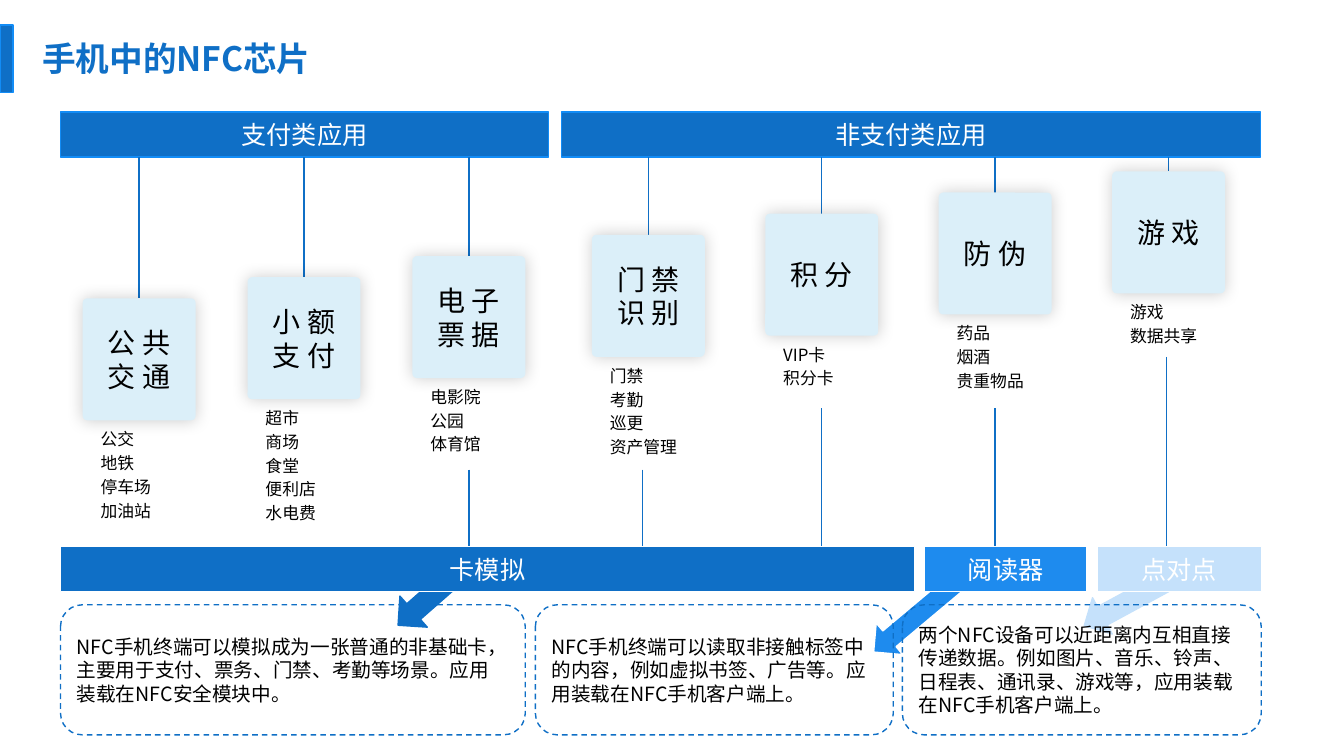
from lxml import etree
from pptx import Presentation
from pptx import util as u
from pptx.dml.color import RGBColor
from pptx.enum import dml, shapes, text
from pptx.oxml.ns import qn

# Style
COLORS = {
    "blue": "0F6FC6", "edge": "128CF6", "bright": "1E8BEE", "pale": "C5E1FB",
    "card": "DBEFF9", "white": "FFFFFF", "black": "000000",
}
CJK, LATIN = "Noto Sans CJK SC", "Open Sans"
GRID = u.Inches(0.1)  # width of a column and height of a row
SHAPE = shapes.MSO_SHAPE
LEFT, CENTER = text.PP_ALIGN.LEFT, text.PP_ALIGN.CENTER
TOP, MIDDLE = text.MSO_ANCHOR.TOP, text.MSO_ANCHOR.MIDDLE


def grid(*cells):
    return [round(cell * GRID) for cell in cells]


def rgb(name):
    return RGBColor.from_string(COLORS[name])


def write(frame, lines, size=14, font=CJK, color="black", bold=False,
          align=LEFT, anchor=MIDDLE, spacing=None):
    """Fill a text frame with one paragraph per line."""
    frame.word_wrap = True
    frame.auto_size = text.MSO_AUTO_SIZE.NONE
    frame.vertical_anchor = anchor
    frame.text = "\n".join(lines)
    for paragraph in frame.paragraphs:
        paragraph.alignment = align
        if spacing:
            paragraph.line_spacing = u.Pt(spacing)
        for run in paragraph.runs:
            run.font.size, run.font.bold, run.font.name = u.Pt(size), bold, font
            run.font.color.rgb = rgb(color)
            east_asian = etree.SubElement(run.font._element, qn("a:ea"))
            east_asian.set("typeface", font)


class Board:
    """The current slide and its kinds of element."""

    def __init__(self, deck):
        self.slide = deck.slides.add_slide(deck.slide_layouts[5])

    def title(self, wording, *box):
        heading = self.slide.shapes.title
        heading.left, heading.top, heading.width, heading.height = grid(*box)
        write(heading.text_frame, [wording], size=24, color="blue", bold=True)

    def block(self, kind, *box, fill=None, line=None, dashed=False, turn=0):
        block = self.slide.shapes.add_shape(kind, *grid(*box))
        block.shadow.inherit = False
        block.rotation = turn
        if fill:
            block.fill.solid()
            block.fill.fore_color.rgb = rgb(fill)
        else:
            block.fill.background()
        if line:
            block.line.color.rgb, block.line.width = rgb(line), u.Pt(1)
        else:
            block.line.fill.background()
        if dashed:
            block.line.dash_style = dml.MSO_LINE.DASH
        return block

    def bar(self, wording, *box, fill="blue", line="white"):
        bar = self.block(SHAPE.RECTANGLE, *box, fill=fill, line=line)
        write(bar.text_frame, [wording], size=18, font=LATIN, color="white", align=CENTER)

    def card(self, lines, *box):
        card = self.block(SHAPE.ROUNDED_RECTANGLE, *box, fill="card")
        card.adjustments[0] = 0.04
        effects = card._element.spPr.find(qn("a:effectLst"))
        glow = etree.SubElement(effects, qn("a:outerShdw"), blurRad=str(u.Pt(12)),
                                dist="0", algn="ctr", rotWithShape="0")
        shade = etree.SubElement(glow, qn("a:srgbClr"), val=COLORS["black"])
        etree.SubElement(shade, qn("a:alpha"), val="20000")
        write(card.text_frame, lines, size=20, align=CENTER)

    def examples(self, lines, *box):
        frame = self.slide.shapes.add_textbox(*grid(*box)).text_frame
        write(frame, lines, size=12, anchor=TOP, spacing=17)

    def note(self, wording, *box):
        note = self.block(SHAPE.ROUNDED_RECTANGLE, *box, line="blue", dashed=True)
        write(note.text_frame, [wording])

    def stem(self, x, top, bottom):
        stem = self.slide.shapes.add_connector(
            shapes.MSO_CONNECTOR.STRAIGHT, *grid(x, top, x, bottom))
        stem.line.color.rgb, stem.line.width = rgb("blue"), u.Pt(1)
        etree.SubElement(stem._element.spPr, qn("a:effectLst"))


# Content
PAYMENT = [
    (["公 共", "交 通"], ["公交", "地铁", "停车场", "加油站"]),
    (["小 额", "支 付"], ["超市", "商场", "食堂", "便利店", "水电费"]),
    (["电 子", "票 据"], ["电影院", "公园", "体育馆"]),
]
OTHER = [
    (["门 禁", "识 别"], ["门禁", "考勤", "巡更", "资产管理"]),
    (["积 分"], ["VIP卡", "积分卡"]),
    (["防 伪"], ["药品", "烟酒", "贵重物品"]),
    (["游 戏"], ["游戏", "数据共享"]),
]
GROUPS = [  # name, bar left, bar width, first card left, card step, uses
    ("支付类应用", 6, 48.4, 8.2, 16.35, PAYMENT),
    ("非支付类应用", 55.7, 69.3, 58.7, 17.2, OTHER),
]
MODE_STEMS = [(46.5, 46.6), (63.7, 46.6), (81.5, 40.5), (98.7, 40.5), (115.7, 35.4)]
MODES = [  # name, left, width, fill
    ("卡模拟", 6, 84.7, "blue"),
    ("阅读器", 91.7, 16.1, "bright"),
    ("点对点", 108.8, 16.3, "pale"),
]
MODE_ARROWS = [  # left, top, width, rotation, fill, line
    (38.7, 57.9, 6.3, 318.7, "blue", "blue"),
    (85.4, 59.2, 10.7, 320, "bright", "white"),
    (106.9, 57.5, 10.6, 331.5, "pale", "pale"),
]
NOTES = [  # wording, left, width
    ("NFC手机终端可以模拟成为一张普通的非基础卡，主要用于支付、票务、门禁、考勤等场景。"
     "应用装载在NFC安全模块中。", 6, 46.1),
    ("NFC手机终端可以读取非接触标签中的内容，例如虚拟书签、广告等。"
     "应用装载在NFC手机客户端上。", 53.1, 35.5),
    ("两个NFC设备可以近距离内互相直接传递数据。例如图片、音乐、铃声、日程表、通讯录、游戏等，"
     "应用装载在NFC手机客户端上。", 89.5, 35.6),
]
BAR_TOP, BAR_HEIGHT, MODE_TOP, NOTE_TOP = 11.1, 4.5, 54.2, 60
CARD_WIDTH, CARD_HEIGHT, FIRST_CARD_TOP, CARD_RISE = 11.2, 12.1, 29.6, 2.1


def main():
    deck = Presentation()
    deck.slide_width, deck.slide_height = u.Inches(13.33), u.Inches(7.5)
    board = Board(deck)

    # Title and its accent
    board.block(SHAPE.RECTANGLE, 0, 2.5, 1.3, 6.7, fill="blue", line="edge")
    board.title("手机中的NFC芯片", 3.2, 3.3, 43.4, 5)

    # Arrows and lines behind the mode bars
    for left, top, width, turn, fill, line in MODE_ARROWS:
        board.block(SHAPE.LEFT_ARROW, left, top, width, 4.1, fill=fill, line=line, turn=turn)
    for x, top in MODE_STEMS:
        board.stem(x, top, MODE_TOP)

    # Application groups: each card sits a little higher than the one before
    card_top = FIRST_CARD_TOP
    for name, bar_left, bar_width, first_left, step, uses in GROUPS:
        board.bar(name, bar_left, BAR_TOP, bar_width, BAR_HEIGHT, line="edge")
        for place, (use, examples) in enumerate(uses):
            left = first_left + place * step
            board.stem(left + CARD_WIDTH / 2, BAR_TOP + BAR_HEIGHT, card_top)
            board.card(use, left, card_top, CARD_WIDTH, CARD_HEIGHT)
            board.examples(examples, left + 0.8, card_top + CARD_HEIGHT,
                           9.7, 1 + 2.36 * len(examples))
            card_top -= CARD_RISE

    # Working modes and their notes
    for name, left, width, fill in MODES:
        board.bar(name, left, MODE_TOP, width, BAR_HEIGHT, fill=fill)
    for wording, left, width in NOTES:
        board.note(wording, left, NOTE_TOP, width, 12.9)

    deck.save("out.pptx")


if __name__ == "__main__":
    main()
